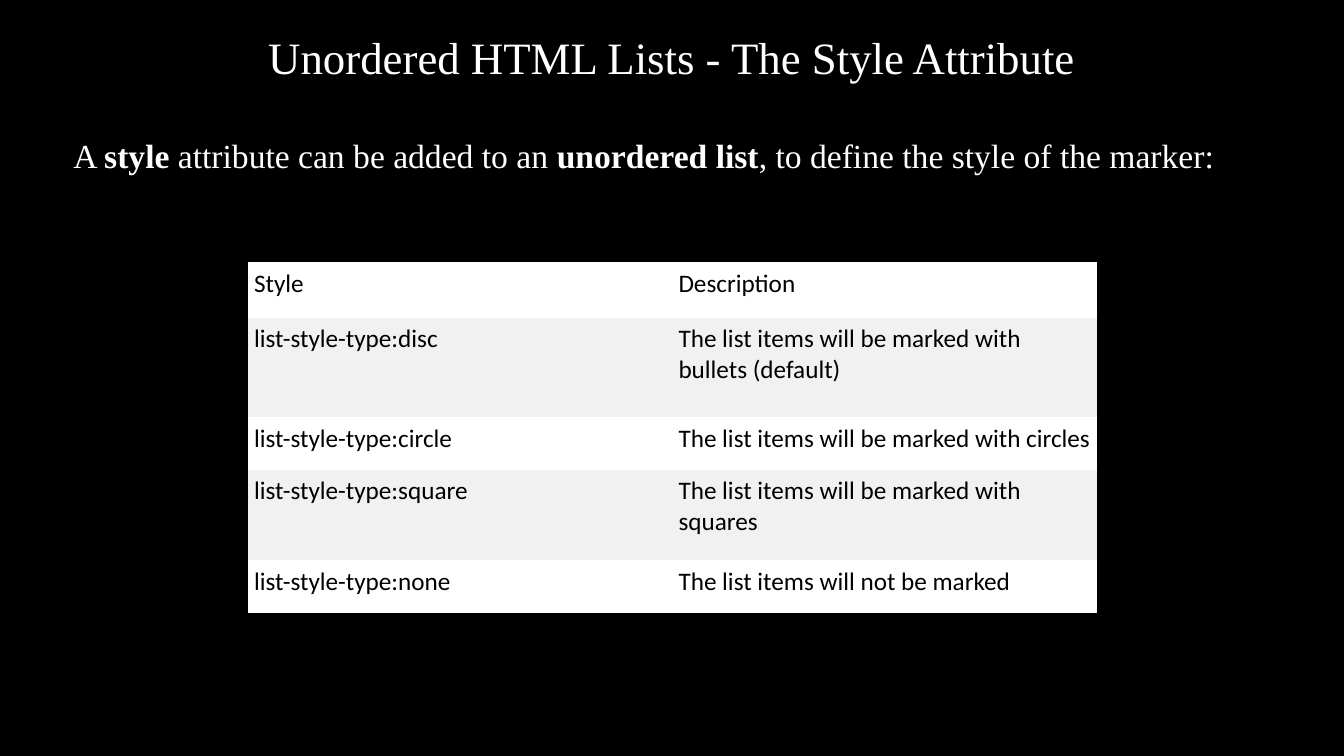
from pptx import Presentation
from pptx.dml.color import RGBColor as RGB
from pptx.enum.text import PP_ALIGN as Align
from pptx.oxml.ns import qn
from pptx.util import Inches, Pt

BLACK = RGB(0x00, 0x00, 0x00)
WHITE = RGB(0xFF, 0xFF, 0xFF)
GRAY = RGB(0xF1, 0xF1, 0xF1)
PLAIN = "{2D5ABB26-0587-4C30-8999-92F81FD0307C}"

deck = Presentation()
deck.slide_width = Inches(13.33)
deck.slide_height = Inches(7.5)
slide = deck.slides.add_slide(deck.slide_layouts[6])
slide.background.fill.solid()
slide.background.fill.fore_color.rgb = BLACK


def style(para, face, size, color):
    para.font.name = face
    para.font.size = Pt(size)
    para.font.color.rgb = color


def add_text(left, top, width, height, size):
    box = slide.shapes.add_textbox(
        Inches(left), Inches(top), Inches(width), Inches(height))
    box.text_frame.word_wrap = True
    para = box.text_frame.paragraphs[0]
    style(para, "Times New Roman", size, WHITE)
    return para


title = add_text(2.08, 0.25, 9.17, 0.64, 32)
title.text = "Unordered HTML Lists - The Style Attribute"
title.alignment = Align.CENTER

intro = add_text(0.63, 1.29, 12.07, 0.5, 24)
for text, bold in [
    ("A ", False),
    ("style", True),
    (" attribute can be added to an ", False),
    ("unordered list", True),
    (", to define the style of the marker:", False),
]:
    run = intro.add_run()
    run.text = text
    run.font.bold = bold

rows = [
    (0.55, "Style", "Description"),
    (0.99, "list-style-type:disc",
     "The list items will be marked with bullets (default)"),
    (0.52, "list-style-type:circle",
     "The list items will be marked with circles"),
    (0.9, "list-style-type:square",
     "The list items will be marked with squares"),
    (0.52, "list-style-type:none", "The list items will not be marked"),
]
total = sum(row[0] for row in rows)
frame = slide.shapes.add_table(
    len(rows), 2, Inches(2.46), Inches(2.6), Inches(8.42), Inches(total))
for node in frame.element.iter(qn("a:tableStyleId")):
    node.text = PLAIN
table = frame.table
table.first_row = False
table.horz_banding = False

for i, (height, *texts) in enumerate(rows):
    table.rows[i].height = Inches(height)
    for j, text in enumerate(texts):
        cell = table.cell(i, j)
        cell.margin_left = cell.margin_right = Inches(0.06)
        cell.margin_top = cell.margin_bottom = Inches(0.06)
        cell.fill.solid()
        cell.fill.fore_color.rgb = GRAY if i % 2 else WHITE
        cell.text = text
        style(cell.text_frame.paragraphs[0], "Calibri", 18, BLACK)

deck.save("out.pptx")
